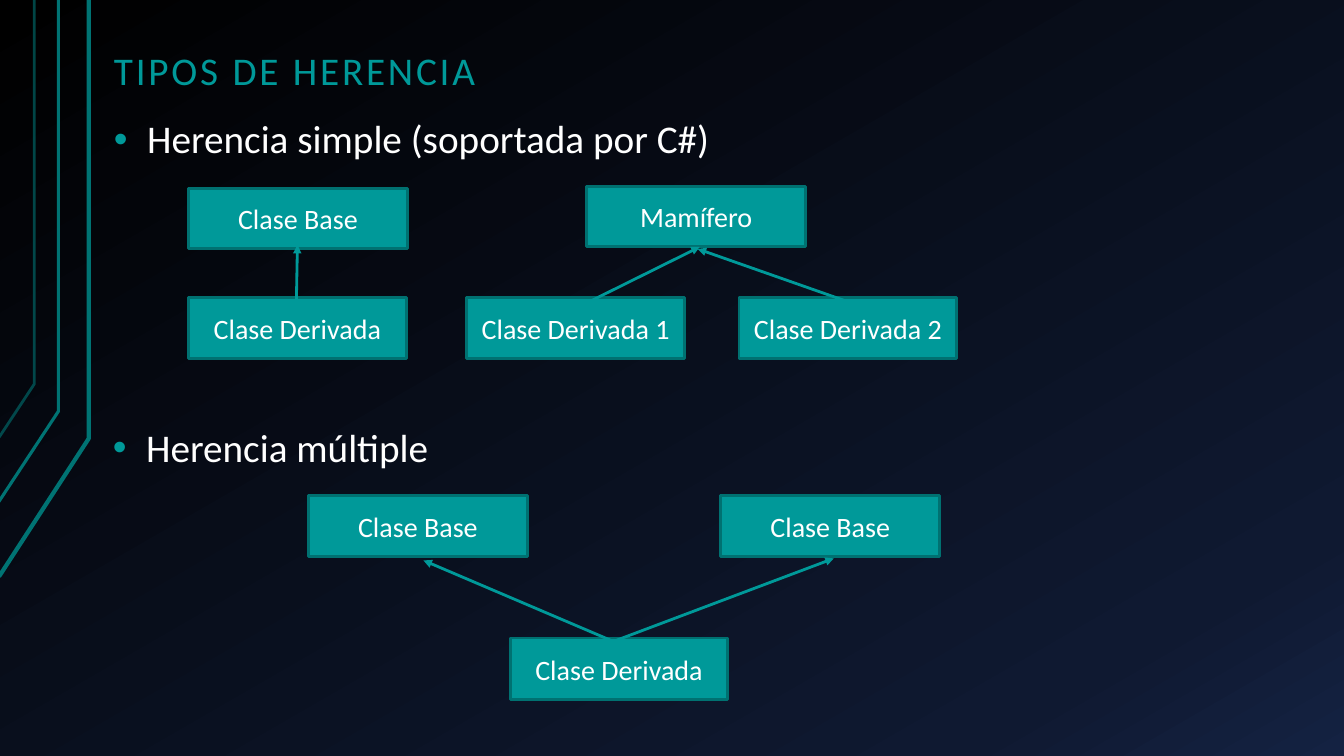
from copy import deepcopy

from pptx import Presentation
from pptx.dml.color import RGBColor
from pptx.enum.shapes import MSO_CONNECTOR, MSO_SHAPE
from pptx.enum.text import MSO_ANCHOR, MSO_AUTO_SIZE, PP_ALIGN
from pptx.oxml.ns import qn
from pptx.util import Inches, Pt
from lxml.etree import SubElement

COLORS = {
    "teal": "009999",
    "border": "007171",
    "rail": "007373",
    "white": "FFFFFF",
    "black": "000000",
    "navy": "0F1931",
    "blue": "142242",
}
BACKGROUND = [(0, "black"), (0.85, "navy"), (1, "blue")]
RAILS = [
    ([(-0.01, 5.72), (0.88, 4.35), (0.88, 0)], 3, 100),
    ([(-0.02, 4.99), (0.58, 4.08), (0.58, 0)], 2.25, 100),
    ([(-0.01, 4.34), (0.34, 3.81), (0.34, 0)], 2, 60),
]
BULLETS = [
    ("Herencia simple (soportada por C#)", (1, 1.12, 11.34, 0.59)),
    ("Herencia múltiple", (0.99, 4.18, 11.33, 0.84)),
]
BASE_SIZE = (2.17, 0.6)
DERIVED_SIZE = (2.16, 0.61)
BASES = [
    ("Clase Base", 1.87, 1.87),
    ("Mamífero", 5.82, 1.85),
    ("Clase Base", 3.06, 4.92),
    ("Clase Base", 7.15, 4.92),
]
DERIVED = [
    ("Clase Derivada", 1.87, 2.95),
    ("Clase Derivada 1", 4.63, 2.95),
    ("Clase Derivada 2", 7.33, 2.95),
    ("Clase Derivada", 5.06, 6.33),
]
ARROWS = [
    (2.94, 2.98, 2.95, 2.43),
    (5.73, 3.05, 6.94, 2.45),
    (8.4, 2.99, 6.92, 2.47),
    (6.17, 6.4, 4.2, 5.56),
    (6.04, 6.38, 8.27, 5.54),
]


def rgb(name):
    return RGBColor.from_string(COLORS[name])


def apply(target, formats):
    for name, value in formats.items():
        setattr(target, name, value)


class Deck:
    font = "Calibri"
    frame = {
        "word_wrap": True,
        "auto_size": MSO_AUTO_SIZE.NONE,
        "vertical_anchor": MSO_ANCHOR.TOP,
        "margin_left": Inches(0.13),
        "margin_right": Inches(0.13),
        "margin_top": Inches(0.07),
        "margin_bottom": Inches(0.07),
    }
    heading = {"alignment": PP_ALIGN.LEFT, "line_spacing": 0.9, "space_before": Pt(16)}

    def __init__(self):
        self.prs = Presentation()
        apply(self.prs, {"slide_width": Inches(13.33), "slide_height": Inches(7.5)})
        self.s = self.prs.slides.add_slide(self.prs.slide_layouts[5])

    def background(self, stops):
        fill = self.s.background.fill
        fill.gradient()
        gs_list = self.s.element.find(".//" + qn("a:gsLst"))
        gs_list.append(deepcopy(gs_list[-1]))
        for stop, (position, color) in zip(fill.gradient_stops, stops):
            stop.position = position
            stop.color.rgb = rgb(color)
        fill.gradient_angle = 300

    def text(self, tf, text, size, color, paragraph):
        p = tf.paragraphs[0]
        apply(p, paragraph)
        r = p.add_run()
        r.text = text
        apply(r.font, {"name": self.font, "size": Pt(size), "bold": False})
        r.font.color.rgb = rgb(color)
        return p, r

    def line(self, shape, color, width):
        shape.line.color.rgb = rgb(color)
        shape.line.width = Pt(width)

    def title(self, text, box):
        sp = self.s.shapes.title
        apply(sp, dict(zip(("left", "top", "width", "height"), map(Inches, box))))
        apply(sp.text_frame, self.frame)
        p, r = self.text(sp.text_frame, text, 28, "teal", self.heading)
        r.font._element.set("spc", "200")

    def bullet(self, text, box):
        tf = self.s.shapes.add_textbox(*map(Inches, box)).text_frame
        apply(tf, self.frame)
        p, r = self.text(tf, text, 28, "white", self.heading)
        pPr = p._p.get_or_add_pPr()
        pPr.set("marL", str(Inches(0.33)))
        pPr.set("indent", str(-Inches(0.33)))
        SubElement(SubElement(pPr, qn("a:buClr")), qn("a:srgbClr"), val=COLORS["teal"])
        SubElement(pPr, qn("a:buFont"), typeface="Arial")
        SubElement(pPr, qn("a:buChar"), char="•")

    def box(self, text, left, top, size):
        sp = self.s.shapes.add_shape(MSO_SHAPE.RECTANGLE, *map(Inches, (left, top, *size)))
        sp.shadow.inherit = False
        sp.fill.solid()
        sp.fill.fore_color.rgb = rgb("teal")
        self.line(sp, "border", 2)
        apply(sp.text_frame, {"word_wrap": True, "vertical_anchor": MSO_ANCHOR.MIDDLE})
        self.text(sp.text_frame, text, 20, "white", {"alignment": PP_ALIGN.CENTER})

    def arrow(self, *ends):
        c = self.s.shapes.add_connector(MSO_CONNECTOR.STRAIGHT, *map(Inches, ends))
        self.line(c, "teal", 2)
        SubElement(c.line._get_or_add_ln(), qn("a:tailEnd"), type="triangle")
        SubElement(c._element.spPr, qn("a:effectLst"))

    def rail(self, points, width, opacity):
        start, *rest = [tuple(map(Inches, point)) for point in points]
        builder = self.s.shapes.build_freeform(*start)
        builder.add_line_segments(rest, close=False)
        sp = builder.convert_to_shape()
        sp.shadow.inherit = False
        sp.fill.background()
        self.line(sp, "rail", width)
        if opacity < 100:
            color = sp._element.spPr.find(".//" + qn("a:srgbClr"))
            SubElement(color, qn("a:alpha"), val=str(opacity * 1000))


def main():
    deck = Deck()
    deck.background(BACKGROUND)
    for rail in RAILS:
        deck.rail(*rail)
    deck.title("TIPOS DE HERENCIA", (1, 0.44, 10.87, 0.63))
    for bullet in BULLETS:
        deck.bullet(*bullet)
    for boxes, size in ((BASES, BASE_SIZE), (DERIVED, DERIVED_SIZE)):
        for box in boxes:
            deck.box(*box, size)
    for arrow in ARROWS:
        deck.arrow(*arrow)
    deck.prs.save("out.pptx")


if __name__ == "__main__":
    main()
